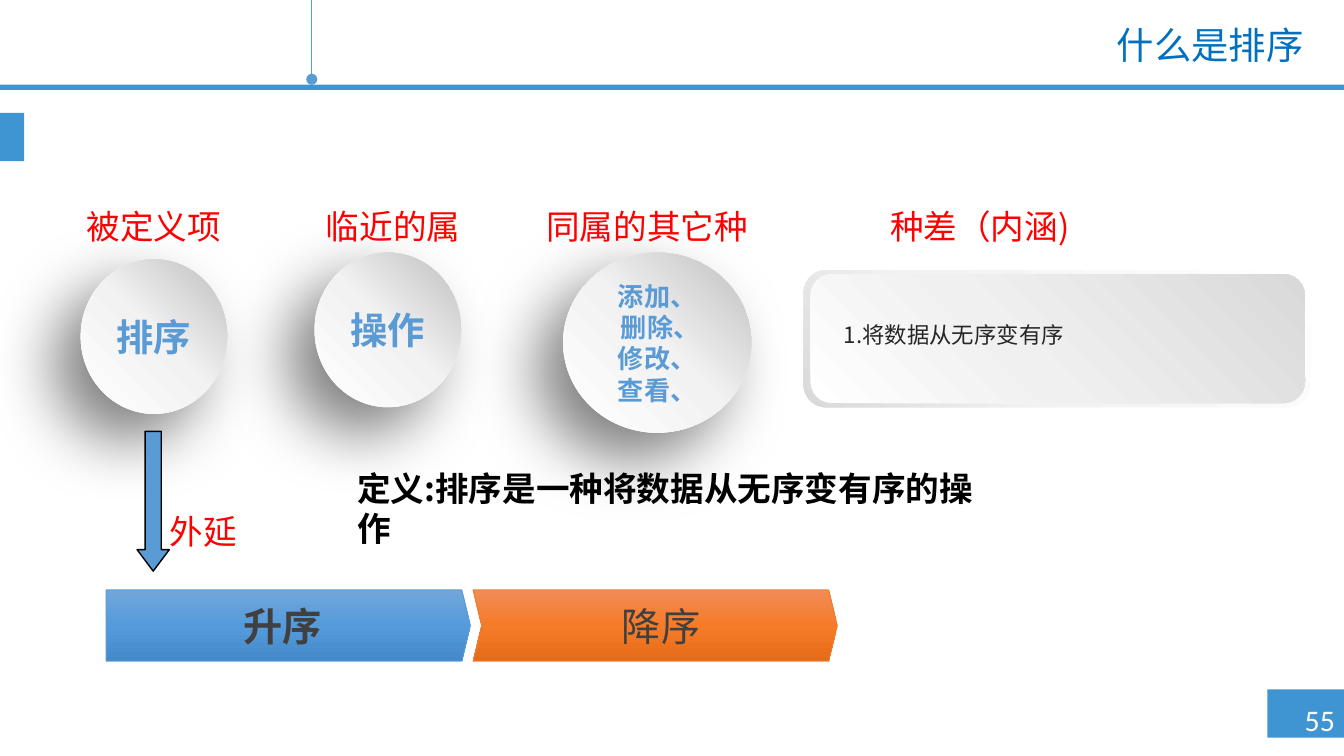
from lxml.etree import SubElement
from pptx import Presentation
from pptx.dml.color import RGBColor
from pptx.enum.shapes import MSO_CONNECTOR, MSO_SHAPE
from pptx.enum.text import MSO_ANCHOR, PP_ALIGN
from pptx.oxml import parse_xml
from pptx.oxml.ns import nsdecls, qn
from pptx.util import Inches, Pt

SANS = "Noto Sans CJK SC"
BLUE, SKY, RED, GREY = "3F95D2", "5B9BD5", "FF0000", "404040"
LEFT, MID, RIGHT = PP_ALIGN.LEFT, PP_ALIGN.CENTER, PP_ALIGN.RIGHT

# A 16:9 page
prs = Presentation()
prs.slide_width = Inches(10)
prs.slide_height = Inches(10 * 9 / 16)
slide = prs.slides.add_slide(prs.slide_layouts[6])
shapes = slide.shapes
rgb = RGBColor.from_string


def draw(kind, box, fill, angle=0, line=None, weight=0.5):
    """Add a shape; fill is one colour or a list of (percent, colour) stops."""
    shape = shapes.add_shape(kind, *map(Inches, box))
    shape.shadow.inherit = False
    if isinstance(fill, str):
        shape.fill.solid()
        shape.fill.fore_color.rgb = rgb(fill)
    else:
        stops = "".join(
            f'<a:gs pos="{pos * 1000}"><a:srgbClr val="{tone}"/></a:gs>'
            for pos, tone in fill)
        grad = parse_xml(
            f'<a:gradFill {nsdecls("a")} rotWithShape="1"><a:gsLst>{stops}</a:gsLst>'
            f'<a:lin ang="{angle * 60000}" scaled="0"/></a:gradFill>')
        shape._element.spPr.find(qn("a:prstGeom")).addnext(grad)
    if line:
        shape.line.color.rgb = rgb(line)
        shape.line.width = Pt(weight)
    else:
        shape.line.fill.background()
    return shape


def write(target, text, size, tone, bold=False, align=MID, font=SANS, gap=1.0,
          anchor=MSO_ANCHOR.TOP, inset=True):
    """Set text in a shape, or in a new text box when target is a list."""
    if isinstance(target, list):
        target = shapes.add_textbox(*map(Inches, target))
    frame = target.text_frame
    frame.text = text
    frame.word_wrap = True
    frame.vertical_anchor = anchor
    if not inset:
        frame.margin_left = frame.margin_right = 0
        frame.margin_top = frame.margin_bottom = 0
    for para in frame.paragraphs:
        para.alignment = align
        para.line_spacing = gap
        for run in para.runs:
            run.font.size = Pt(size)
            run.font.bold = bold
            run.font.color.rgb = rgb(tone)
            run.font.name = font
            SubElement(run.font._element, qn("a:ea")).set("typeface", font)


# Page frame: number block, header rule, side tab
for box in ([9.43, 5.13, 0.57, 0.36], [0, 0.63, 10, 0.04], [0, 0.84, 0.18, 0.36]):
    draw(MSO_SHAPE.RECTANGLE, box, BLUE)
write([9.62, 5.22, 0.4, 0.27], "55", 16, "FFFFFF", font="Calibri", inset=False)

# Hanging line with a round end
cord = shapes.add_connector(
    MSO_CONNECTOR.STRAIGHT, Inches(2.32), 0, Inches(2.32), Inches(0.59))
cord.line.color.rgb = rgb(SKY)
cord.line.width = Pt(0.75)
SubElement(cord.line._get_or_add_ln(), qn("a:tailEnd")).set("type", "oval")
SubElement(cord._element.spPr, qn("a:effectLst"))

# Title
write([2.4, 0.15, 7.4, 0.4], "什么是排序", 20, "0070C0", align=RIGHT, gap=0.9,
      anchor=MSO_ANCHOR.MIDDLE)

# Circles with a soft shadow
pearl = [(0, "FFFFFF"), (51, "F2F2F2"), (100, "BFBFBF")]
for box, text, size in (
        ([0.6, 1.93, 1.09, 1.15], "排序", 20),
        ([2.34, 1.88, 1.09, 1.15], "操作", 20),
        ([4.19, 1.88, 1.4, 1.34], "添加、\n 删除、 修改、 查看、", 14)):
    disc = draw(MSO_SHAPE.OVAL, box, pearl, 315)
    glow = SubElement(disc._element.spPr.find(qn("a:effectLst")), qn("a:outerShdw"),
                      blurRad=str(Pt(35)), dist=str(Pt(20)), dir=str(135 * 60000),
                      algn="tr", rotWithShape="0")
    tint = SubElement(glow, qn("a:srgbClr"), val="000000")
    SubElement(tint, qn("a:alpha"), val="50000")
    write(disc, text, size, SKY, bold=True, anchor=MSO_ANCHOR.MIDDLE)

# Panel: rim and face
for box, stop, tone, angle in (
        ([5.98, 2.01, 3.77, 1.02], 62, "F2F2F2", 135),
        ([6.03, 2.04, 3.68, 0.96], 42, "F0F0F0", 315)):
    draw(MSO_SHAPE.ROUNDED_RECTANGLE, box,
         [(0, "FFFFFF"), (stop, tone), (100, "D9D9D9")], angle)
write([6.18, 2.3, 4.5, 0.58], "1.将数据从无序变有序", 12, "262626", align=LEFT, gap=1.2)

# Red labels
for left, top, width, text in (
        (0.13, 1.48, 2.03, "被定义项"), (1.81, 1.48, 2.23, "临近的属"),
        (3.7, 1.48, 2.23, "同属的其它种"), (6.32, 1.48, 1.94, "种差（内涵)"),
        (0.4, 3.75, 2.23, "外延")):
    write([left, top, width, 0.4], text, 18, RED)

# Definition
write([2.56, 3.43, 5.02, 0.4], "定义:排序是一种将数据从无序变有序的操作", 18, "000000",
      bold=True, align=LEFT)

# Down arrow
arrow = draw(MSO_SHAPE.DOWN_ARROW, [1.02, 3.21, 0.24, 1.04], SKY, line="000000", weight=0.75)
arrow.adjustments[1] = 0.665

# Sort directions
for kind, left, tones, edge, text, start, width, bold in (
        (MSO_SHAPE.CHEVRON, 3.52, ("F18C57", "F67B28", "E56C19"), "ED7D31",
         "降序", 3.84, 2.16, False),
        (MSO_SHAPE.PENTAGON, 0.79, ("71A6DB", "559BDB", "448ACA"), SKY,
         "升序", 0.91, 2.39, True)):
    band = draw(kind, [left, 4.39, 2.71, 0.53], list(zip((0, 50, 100), tones)), 90, edge)
    band.adjustments[0] = 0.12
    write([start, 4.48, width, 0.35], text, 21, GREY, bold=bold,
          anchor=MSO_ANCHOR.MIDDLE, inset=False)

prs.save("out.pptx")
